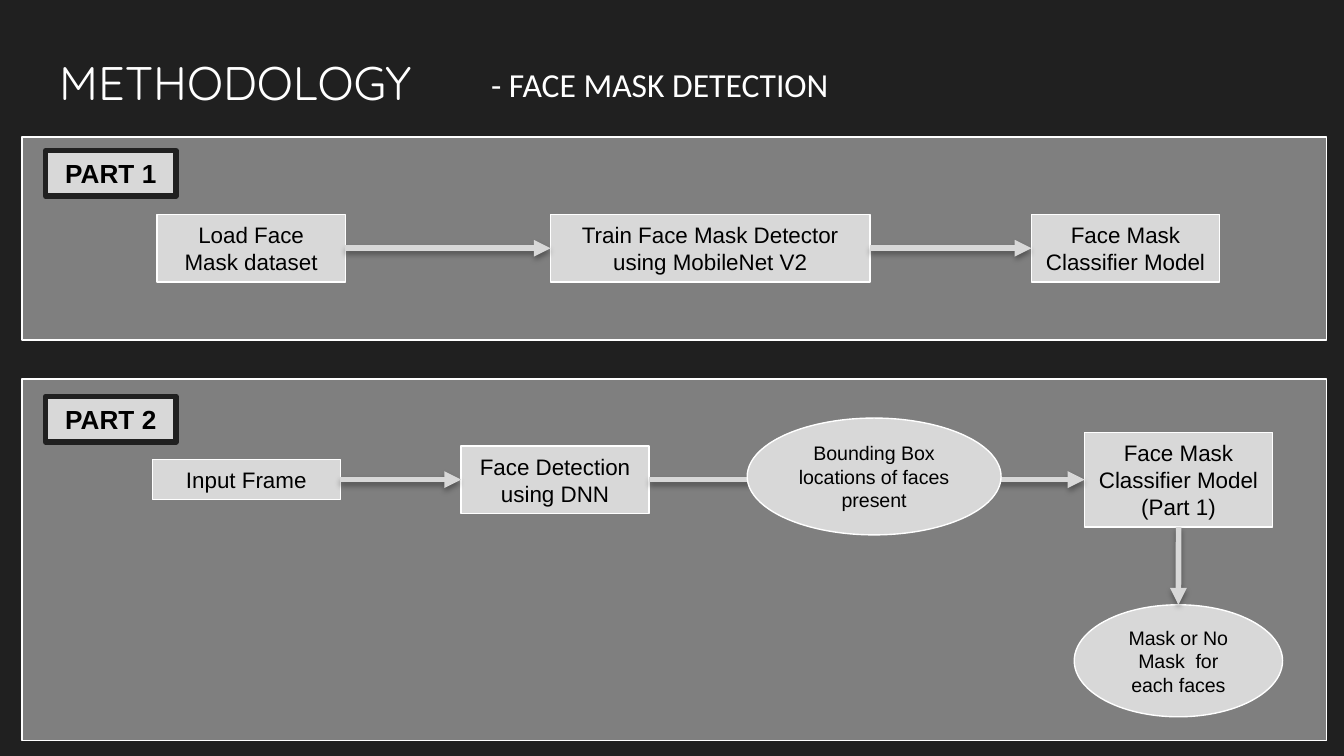
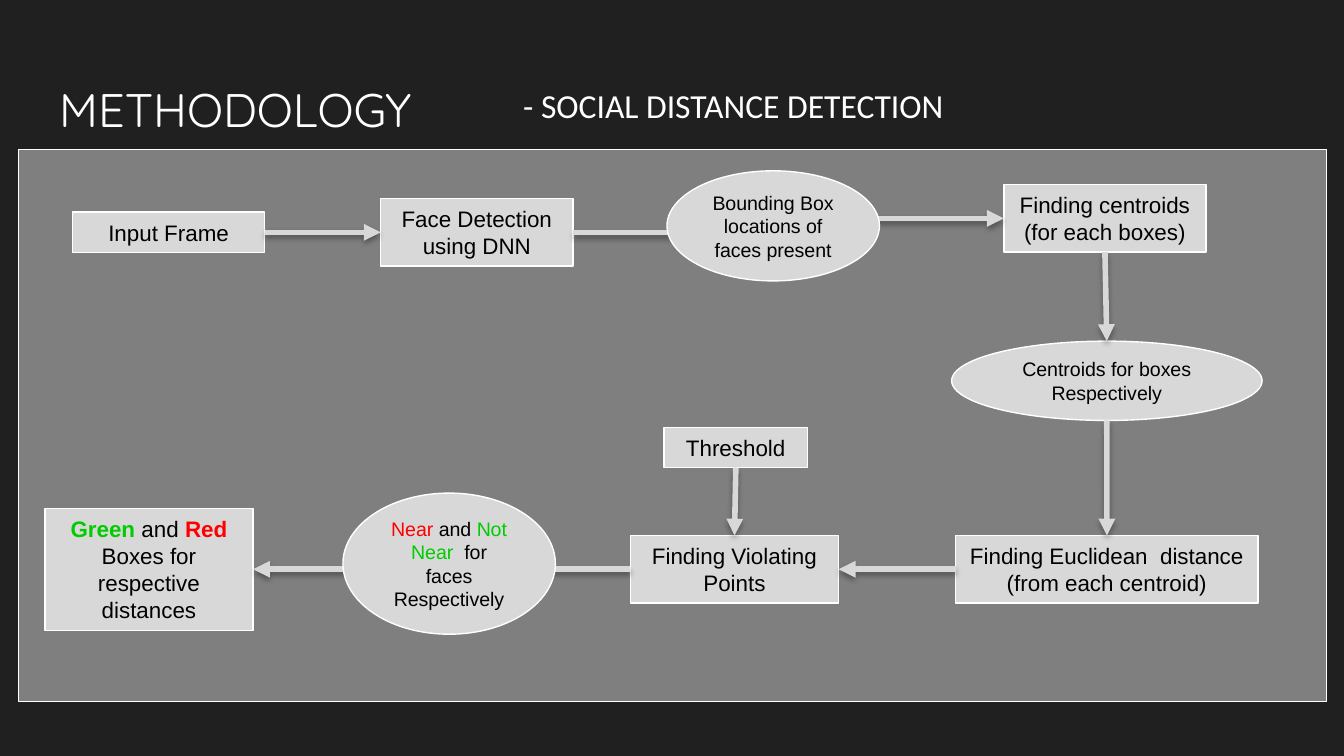
from lxml.etree import SubElement
from pptx import Presentation
from pptx.dml.color import RGBColor
from pptx.enum.shapes import MSO_CONNECTOR, MSO_SHAPE
from pptx.enum.text import MSO_ANCHOR, MSO_AUTO_SIZE, PP_ALIGN
from pptx.oxml.ns import qn
from pptx.util import Pt

# Shared style
BACKGROUND, PANEL, BOX, WHITE, BLACK = "202020", "7F7F7F", "D8D8D8", "FFFFFF", "000000"
GREEN, RED = "00CC00", "FF0000"


def colour(hex_string):
    return RGBColor.from_string(hex_string)


def edge_point(shape, side):
    """Middle of one side of a shape."""
    across = {"left": 0, "right": 1}.get(side, 0.5)
    down = {"top": 0, "bottom": 1}.get(side, 0.5)
    return int(shape.left + across * shape.width), int(shape.top + down * shape.height)


class FlowDeck:
    def __init__(self):
        self.presentation = Presentation()
        self.presentation.slide_width = Pt(720)
        self.presentation.slide_height = Pt(405)
        fill = self.presentation.slide_master.background.fill
        fill.solid()
        fill.fore_color.rgb = colour(BACKGROUND)
        self.slide = None

    def set_text(self, shape, text, size, font="Arial", text_colour=BLACK,
                 bold=False, align=PP_ALIGN.CENTER):
        """Fill a shape with a string, or a list of (text, colour, bold) runs."""
        frame = shape.text_frame
        frame.word_wrap = True
        if isinstance(text, str):
            frame.text = text
            styles = []
        else:
            styles = text
            for words, _, _ in text:
                frame.paragraphs[0].add_run().text = words
        for paragraph in frame.paragraphs:
            paragraph.alignment = align
            for run in paragraph.runs:
                run.font.name = font
                run.font.size = Pt(size)
                run.font.bold = bold
                run.font.color.rgb = colour(text_colour)
        for run, (_, run_colour, run_bold) in zip(frame.paragraphs[0].runs, styles):
            run.font.color.rgb = colour(run_colour)
            run.font.bold = run_bold
        return frame

    def heading(self, frame, anchor):
        frame.vertical_anchor = anchor
        frame.auto_size = MSO_AUTO_SIZE.NONE
        frame.margin_left = frame.margin_right = Pt(7.2)
        frame.margin_top = frame.margin_bottom = Pt(7.2)

    def new_slide(self, title_top, subtitle, left, top, width):
        layout = self.presentation.slide_layouts.get_by_name("Title Only")
        self.slide = self.presentation.slides.add_slide(layout)
        title = self.slide.shapes.title
        title.left, title.top, title.width, title.height = map(Pt, (24.5, title_top, 671, 45.4))
        frame = self.set_text(title, "METHODOLOGY", 25.2, "Quicksand", WHITE,
                              align=PP_ALIGN.LEFT)
        self.heading(frame, MSO_ANCHOR.MIDDLE)

        text_box = self.slide.shapes.add_textbox(Pt(left), Pt(top), Pt(width), Pt(45))
        frame = self.set_text(text_box, subtitle, 18, "Calibri", WHITE, align=PP_ALIGN.LEFT)
        self.heading(frame, MSO_ANCHOR.TOP)
        paragraph = frame.paragraphs[0]
        paragraph.line_spacing = 1.15
        properties = paragraph._p.get_or_add_pPr()
        properties.set("marL", str(Pt(9)))
        properties.set("indent", "0")

    def shape(self, kind, left, top, width, height, fill=BOX, line=WHITE, line_width=0.75):
        shape = self.slide.shapes.add_shape(kind, Pt(left), Pt(top), Pt(width), Pt(height))
        shape.shadow.inherit = False
        shape.fill.solid()
        shape.fill.fore_color.rgb = colour(fill)
        shape.line.color.rgb = colour(line)
        shape.line.width = Pt(line_width)
        return shape

    def panel(self, left, top, width, height):
        self.shape(MSO_SHAPE.RECTANGLE, left, top, width, height, fill=PANEL)

    def box(self, text, left, middle, width, lines=2):
        """Process step, centred on a row and as high as its lines of text."""
        height = 7 + 14.6 * lines
        shape = self.shape(MSO_SHAPE.RECTANGLE, left, middle - height / 2, width, height)
        self.set_text(shape, text, 12).auto_size = MSO_AUTO_SIZE.SHAPE_TO_FIT_TEXT
        return shape

    def label(self, text, middle):
        shape = self.shape(MSO_SHAPE.RECTANGLE, 24.5, middle - 12.2, 69.8, 24.4,
                           line=BACKGROUND, line_width=3)
        frame = self.set_text(shape, text, 14, bold=True)
        frame.auto_size = MSO_AUTO_SIZE.SHAPE_TO_FIT_TEXT

    def data(self, text, left, middle, width, height):
        """Data passed between two steps."""
        shape = self.shape(MSO_SHAPE.OVAL, left, middle - height / 2, width, height)
        self.set_text(shape, text, 10.5)
        return shape

    def arrow(self, start, start_side, end, end_side, kind=MSO_CONNECTOR.STRAIGHT):
        connector = self.slide.shapes.add_connector(
            kind, *edge_point(start, start_side), *edge_point(end, end_side))
        connector.line.color.rgb = colour(BOX)
        connector.line.width = Pt(3)
        properties = connector.element.spPr
        SubElement(properties.find(qn("a:ln")), qn("a:tailEnd"), type="triangle")
        # Soft shadow below the line
        effects = SubElement(properties, qn("a:effectLst"))
        shadow = SubElement(effects, qn("a:outerShdw"), blurRad=str(Pt(3.1)),
                            dist=str(Pt(1.8)), dir="5400000", rotWithShape="0")
        shadow_colour = SubElement(shadow, qn("a:srgbClr"), val=BLACK)
        SubElement(shadow_colour, qn("a:alpha"), val="35000")


def face_mask_slide(deck):
    deck.new_slide(20.9, "- FACE MASK DETECTION", 247, 23.8, 312.5)
    deck.panel(11.7, 73.4, 699, 108.9)
    deck.panel(11.7, 203, 699, 193.7)

    # Part 1: training
    row = 133
    load = deck.box("Load Face Mask dataset", 84.2, row, 100.8)
    train = deck.box("Train Face Mask Detector using MobileNet V2", 295, row, 171)
    model = deck.box("Face Mask Classifier Model", 552.6, row, 100.8)
    deck.arrow(load, "right", train, "left")
    deck.arrow(train, "right", model, "left")

    # Part 2: detection
    row = 257
    source = deck.box("Input Frame", 81.6, row, 100.8, lines=1)
    detection = deck.box("Face Detection using DNN", 247, row, 100.8)
    classifier = deck.box("Face Mask Classifier Model\n(Part 1)", 581, row, 100.8, lines=3)
    deck.arrow(source, "right", detection, "left", MSO_CONNECTOR.ELBOW)
    deck.arrow(detection, "right", classifier, "left", MSO_CONNECTOR.ELBOW)
    deck.data("Bounding Box locations of faces present", 400.3, 255.3, 136, 62.6)
    verdict = deck.data("Mask or No Mask  for each faces", 575.5, 354, 111.6, 60)
    deck.arrow(classifier, "bottom", verdict, "top")

    deck.label("PART 1", 92.9)
    deck.label("PART 2", 224.6)


def social_distance_slide(deck):
    deck.new_slide(35.3, "- SOCIAL DISTANCE DETECTION", 264.2, 35.3, 362)
    deck.panel(10, 80, 700.6, 296)

    # Upper row: from frame to centroids
    row = 124.5
    source = deck.box("Input Frame", 38.9, row, 103, lines=1)
    detection = deck.box("Face Detection using DNN", 204, row, 103)
    centroids = deck.box("Finding centroids\n(for each boxes)", 537.8, 117, 108.3)
    deck.arrow(source, "right", detection, "left", MSO_CONNECTOR.ELBOW)
    deck.arrow(detection, "right", centroids, "left", MSO_CONNECTOR.ELBOW)
    deck.data("Bounding Box locations of faces present", 357.3, 121, 113.8, 59)
    centroid_data = deck.data("Centroids for boxes Respectively", 509.8, 204, 166.3, 42.5)
    deck.arrow(centroids, "bottom", centroid_data, "top")

    # Lower row: from distances to coloured boxes
    row = 305
    distance = deck.box("Finding Euclidean  distance\n(from each centroid)", 512, row, 162)
    deck.arrow(centroid_data, "bottom", distance, "top")
    violations = deck.box("Finding Violating Points", 337.7, row, 111.6)
    deck.arrow(distance, "left", violations, "right")
    result = deck.box([("Green", GREEN, True), (" and ", BLACK, False), ("Red", RED, True),
                       (" Boxes for respective distances", BLACK, False)],
                      24, row, 111.6, lines=4)
    deck.arrow(violations, "left", result, "right")
    deck.data([("Near", RED, False), (" and ", BLACK, False), ("Not Near ", GREEN, False),
               (" for faces Respectively", BLACK, False)], 183.7, 302, 113.8, 75.6)
    threshold = deck.box("Threshold", 355.7, 239.8, 77, lines=1)
    deck.arrow(threshold, "bottom", violations, "top")


def main():
    deck = FlowDeck()
    face_mask_slide(deck)
    social_distance_slide(deck)
    deck.presentation.save("out.pptx")


if __name__ == "__main__":
    main()
